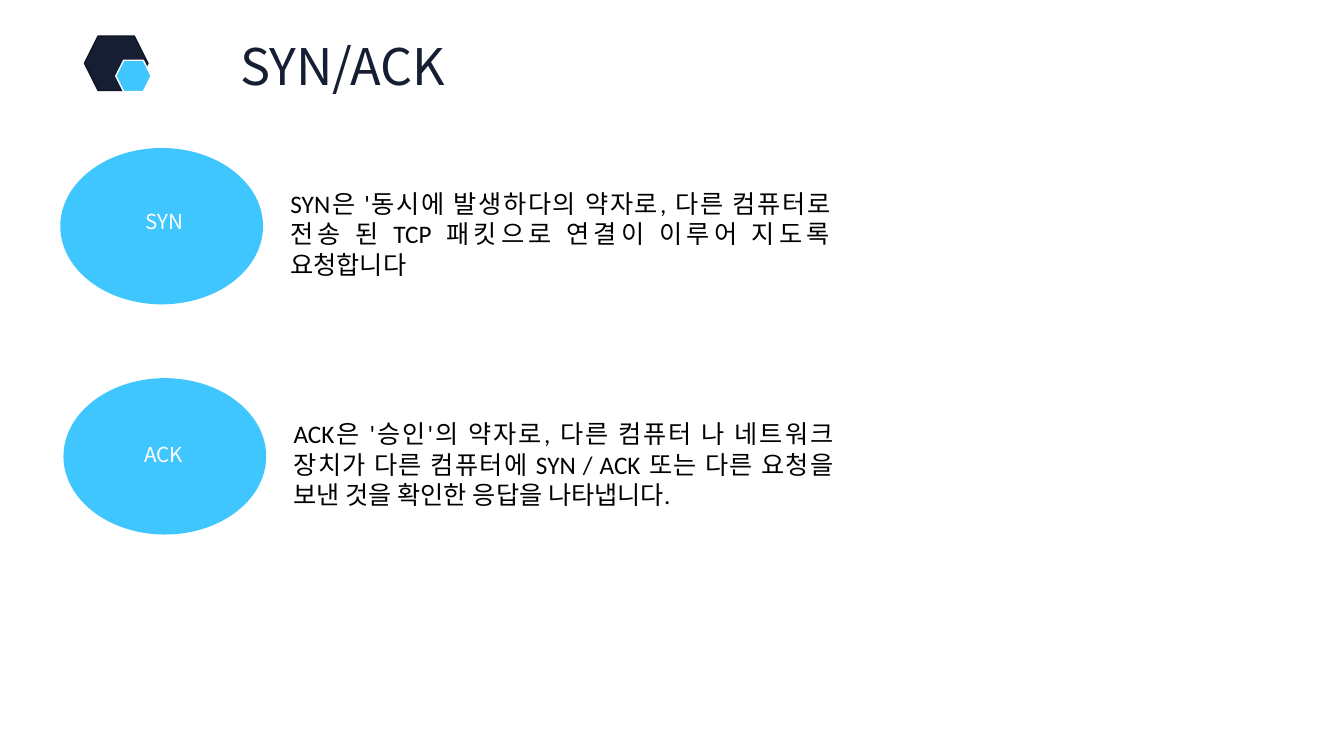
import pptx
import pptx.util
import pptx.dml.color
import pptx.enum.shapes
import pptx.enum.text
import pptx.oxml.ns
from pptx.util import Cm

NAVY = pptx.dml.color.RGBColor(0x15, 0x1E, 0x33)
DARK_EDGE = pptx.dml.color.RGBColor(0x10, 0x15, 0x24)
SKY = pptx.dml.color.RGBColor(0x3F, 0xC6, 0xFE)
WHITE = pptx.dml.color.RGBColor(0xFF, 0xFF, 0xFF)
BLACK = pptx.dml.color.RGBColor(0, 0, 0)
SHAPE = pptx.enum.shapes.MSO_SHAPE
ALIGN = pptx.enum.text.PP_ALIGN
ANCHOR = pptx.enum.text.MSO_ANCHOR


def write(sp, text, *, size, font, color, align=ALIGN.LEFT, anchor=ANCHOR.TOP,
          wrap=True, spacing=1.0):
    """Fill a shape with one formatted paragraph, without inner margins."""
    tf = sp.text_frame
    tf.auto_size = pptx.enum.text.MSO_AUTO_SIZE.NONE
    tf.word_wrap = wrap
    tf.vertical_anchor = anchor
    tf.margin_left = tf.margin_right = tf.margin_top = tf.margin_bottom = 0
    p = tf.paragraphs[0]
    p.alignment = align
    p.line_spacing = spacing
    r = p.add_run()
    r.text = text
    r.font.size = pptx.util.Pt(size)
    r.font.name = font
    r.font.color.rgb = color
    ea = r.font._element.makeelement(pptx.oxml.ns.qn("a:ea"), {"typeface": font})
    r.font._element.append(ea)


def add_filled(kind, left, top, width, height, fill, line=None):
    sp = s.shapes.add_shape(kind, Cm(left), Cm(top), Cm(width), Cm(height))
    sp.shadow.inherit = False
    sp.fill.solid()
    sp.fill.fore_color.rgb = fill
    if line is None:
        sp.line.fill.background()
    else:
        sp.line.color.rgb = line
        sp.line.width = pptx.util.Pt(1)


prs = pptx.Presentation()
prs.slide_width, prs.slide_height = Cm(33.87), Cm(19.05)
s = prs.slides.add_slide(prs.slide_layouts[5])

# Heading with its hexagon emblem
add_filled(SHAPE.HEXAGON, 2.13, 0.91, 1.6, 1.37, NAVY, DARK_EDGE)
add_filled(SHAPE.HEXAGON, 2.92, 1.52, 0.89, 0.79, SKY, WHITE)
title = s.shapes.title
title.left, title.top, title.width, title.height = Cm(3.53), Cm(0.74), Cm(10.21), Cm(1.8)
write(title, "SYN/ACK", size=36, font="Noto Sans CJK KR", color=NAVY,
      align=ALIGN.CENTER, anchor=ANCHOR.MIDDLE)

# Each term: oval position, label position, explanation
terms = [
    ("SYN", 1.52, 3.73, 3.66, 4.75,
     "SYN은 '동시에 발생하다의 약자로, 다른 컴퓨터로 전송 된 TCP 패킷으로 "
     "연결이 이루어 지도록 요청합니다"),
    ("ACK", 1.6, 9.53, 3.63, 10.62,
     "ACK은 '승인'의 약자로, 다른 컴퓨터 나 네트워크 장치가 다른 컴퓨터에 "
     "SYN / ACK 또는 다른 요청을 보낸 것을 확인한 응답을 나타냅니다."),
]
for term, left, top, label_left, label_top, meaning in terms:
    add_filled(SHAPE.OVAL, left, top, 5.11, 3.94, SKY)
    body = s.shapes.add_textbox(Cm(left + 5.8), Cm(top + 1.02), Cm(13.61), Cm(1.55))
    write(body, meaning, size=18, font="Calibri", color=BLACK, align=ALIGN.JUSTIFY)
    label = s.shapes.add_textbox(Cm(label_left), Cm(label_top), Cm(1.02), Cm(1.53))
    write(label, term, size=14.7, font="Noto Sans CJK SC", color=WHITE,
          anchor=ANCHOR.MIDDLE, wrap=False, spacing=1.2)

prs.save("out.pptx")
